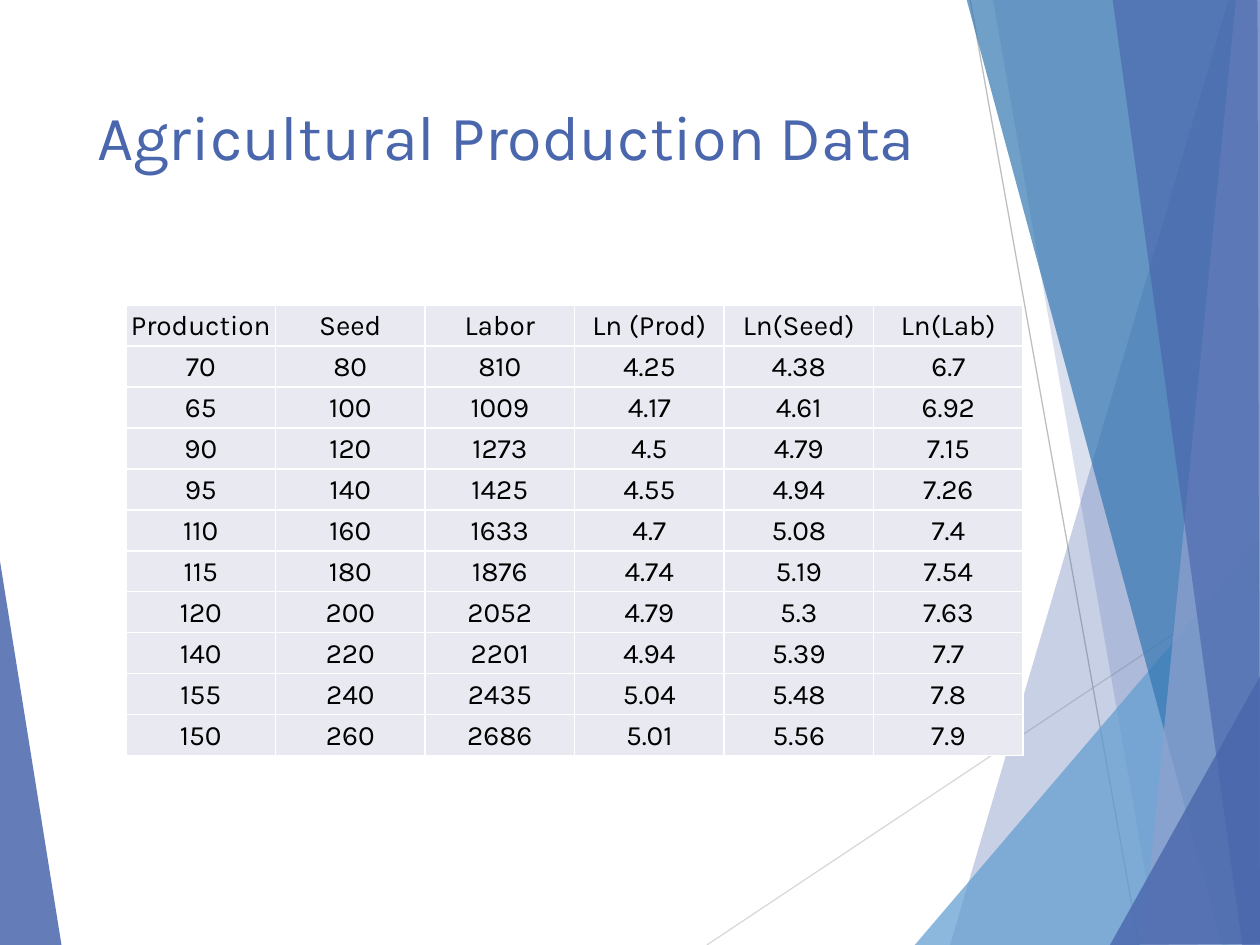
from lxml import etree
from pptx import Presentation
from pptx import util as u
from pptx.dml.color import RGBColor
from pptx.enum import shapes, text
from pptx.oxml import ns

BLUE = RGBColor(0x4A, 0x66, 0xAC)
SKY = RGBColor(0x62, 0x9D, 0xD1)
OCEAN = RGBColor(0x34, 0x77, 0xB2)
PERIWINKLE = RGBColor(0x90, 0xA2, 0xCF)
SILVER = RGBColor(0xD9, 0xD9, 0xD9)
GREY = RGBColor(0xBF, 0xBF, 0xBF)
CELL = RGBColor(0xE9, 0xEA, 0xF1)
WHITE = RGBColor(0xFF, 0xFF, 0xFF)
BLACK = RGBColor(0, 0, 0)

RAYS = [
    ([(5.61, 7.5), (10.01, 4.57)], SILVER),
    ([(7.7, 0), (9.04, 7.5)], GREY),
]
LEFT_FACET = ([(-0.01, 4.39), (0.49, 7.51), (-0.01, 7.5)], BLUE, 85)
RIGHT_FACETS = [
    ([(9.75, 0), (7.54, 7.5), (10.02, 7.51), (10.01, 0.01)], BLUE, 30),
    ([(7.88, -0.01), (9.19, 7.5), (10.01, 7.5), (10.01, -0.01)], BLUE, 20),
    ([(7.26, 7.5), (10, 4.29), (10.01, 7.5)], SKY, 72),
    ([(7.67, -0.01), (9.7, 7.5), (10.01, 7.49), (10.01, -0.01)], OCEAN, 70),
    ([(9.81, -0.01), (9.07, 7.5), (10.01, 7.5), (10, -0.01)], PERIWINKLE, 70),
    ([(8.83, -0.01), (9.86, 7.5), (10, 7.5), (9.98, -0.01)], BLUE, 65),
    ([(8.81, 7.5), (10.01, 5.35), (10.01, 7.49)], BLUE, 80),
]
ROWS = [
    ("Production", "Seed", "Labor", "Ln (Prod)", "Ln(Seed)", "Ln(Lab)"),
    (70, 80, 810, 4.25, 4.38, 6.7),
    (65, 100, 1009, 4.17, 4.61, 6.92),
    (90, 120, 1273, 4.5, 4.79, 7.15),
    (95, 140, 1425, 4.55, 4.94, 7.26),
    (110, 160, 1633, 4.7, 5.08, 7.4),
    (115, 180, 1876, 4.74, 5.19, 7.54),
    (120, 200, 2052, 4.79, 5.3, 7.63),
    (140, 220, 2201, 4.94, 5.39, 7.7),
    (155, 240, 2435, 5.04, 5.48, 7.8),
    (150, 260, 2686, 5.01, 5.56, 7.9),
]


class SlideBuilder:
    """Hold the deck style and the current slide, and draw each kind of element."""

    font = "Karla"

    def __init__(self, prs):
        self.s = prs.slides.add_slide(prs.slide_layouts[5])

    def add_text(self, tf, value, size, color, align):
        p = tf.paragraphs[0]
        p.alignment = align
        r = p.add_run()
        r.text = str(value)
        for name, setting in {"name": self.font, "size": u.Pt(size), "bold": False}.items():
            setattr(r.font, name, setting)
        r.font.color.rgb = color

    def facet(self, points, color, opacity):
        start, *rest = [(u.Inches(x), u.Inches(y)) for x, y in points]
        builder = self.s.shapes.build_freeform(*start)
        builder.add_line_segments(rest, close=True)
        sp = builder.convert_to_shape()
        sp.shadow.inherit = False
        sp.line.fill.background()
        sp.fill.solid()
        sp.fill.fore_color.rgb = color
        clr = sp._element.spPr.find(".//" + ns.qn("a:srgbClr"))
        etree.SubElement(clr, ns.qn("a:alpha"), val=str(opacity * 1000))

    def ray(self, points, color):
        ends = [u.Inches(v) for point in points for v in point]
        line = self.s.shapes.add_connector(shapes.MSO_CONNECTOR.STRAIGHT, *ends)
        line.line.color.rgb = color
        line.line.width = u.Pt(0.75)
        etree.SubElement(line._element.spPr, ns.qn("a:effectLst"))

    def title(self, value, left, top, width, height):
        sp = self.s.shapes.title
        box = {"left": left, "top": top, "width": width, "height": height}
        for name, length in box.items():
            setattr(sp, name, u.Inches(length))
        tf = sp.text_frame
        layout = {
            "word_wrap": True,
            "auto_size": text.MSO_AUTO_SIZE.NONE,
            "vertical_anchor": text.MSO_ANCHOR.TOP,
            "margin_top": u.Inches(0.1),
        }
        for name, setting in layout.items():
            setattr(tf, name, setting)
        self.add_text(tf, value, 36, BLUE, text.PP_ALIGN.LEFT)
        self.s.shapes._spTree.append(sp._element)

    def borders(self, cell):
        tc_pr = cell._tc.get_or_add_tcPr()
        for side in ("lnL", "lnR", "lnT", "lnB"):
            ln = etree.SubElement(tc_pr, ns.qn("a:" + side), w=str(u.Pt(1)))
            fill = etree.SubElement(ln, ns.qn("a:solidFill"))
            etree.SubElement(fill, ns.qn("a:srgbClr"), val=str(WHITE))

    def table(self, rows, left, top, width, height):
        box = [u.Inches(v) for v in (left, top, width, height)]
        table = self.s.shapes.add_table(len(rows), len(rows[0]), *box).table
        table.first_row = table.horz_banding = False
        layout = {
            "vertical_anchor": text.MSO_ANCHOR.MIDDLE,
            "margin_left": u.Inches(0.01),
            "margin_right": u.Inches(0.01),
            "margin_top": u.Inches(0.01),
            "margin_bottom": 0,
        }
        for i, row in enumerate(rows):
            for j, value in enumerate(row):
                cell = table.cell(i, j)
                for name, setting in layout.items():
                    setattr(cell, name, setting)
                self.borders(cell)
                cell.fill.solid()
                cell.fill.fore_color.rgb = CELL
                self.add_text(cell.text_frame, value, 16, BLACK, text.PP_ALIGN.CENTER)


def main():
    prs = Presentation()
    prs.slide_width, prs.slide_height = u.Inches(10), u.Inches(7.5)
    slide = SlideBuilder(prs)
    slide.facet(*LEFT_FACET)
    for ray in RAYS:
        slide.ray(*ray)
    for facet in RIGHT_FACETS:
        slide.facet(*facet)
    slide.title("Agricultural Production Data", 0.67, 0.67, 6.94, 0.92)
    slide.table(ROWS, 1, 2.42, 7.12, 3.58)
    prs.save("out.pptx")


if __name__ == "__main__":
    main()
